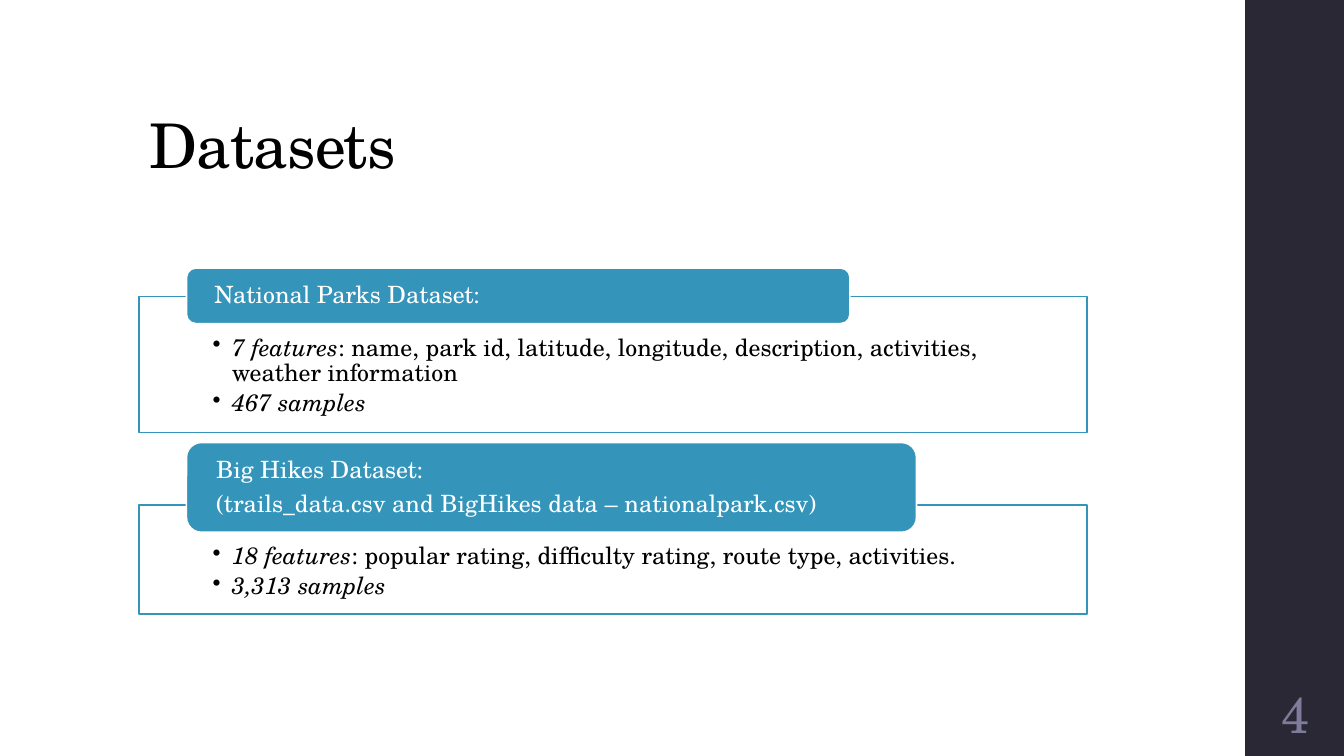
from pptx import Presentation
from pptx.dml.color import RGBColor
from pptx.enum.shapes import MSO_SHAPE as Preset
from pptx.enum.text import MSO_ANCHOR as Anchor, MSO_AUTO_SIZE as AutoSize, PP_ALIGN as Align
from pptx.oxml.ns import qn
from pptx.util import Inches, Pt
from lxml.etree import SubElement

FONT = "TeX Gyre Schola"
BLACK = RGBColor(0x00, 0x00, 0x00)
WHITE = RGBColor(0xFF, 0xFF, 0xFF)
BLUE = RGBColor(0x34, 0x94, 0xBA)
DARK = RGBColor(0x29, 0x28, 0x34)
LAVENDER = RGBColor(0x7F, 0x7B, 0x9A)

BOX_LEFT, BOX_WIDTH = 1.38, 9.4
HEADER_LEFT = 1.85
HEADER_OVERLAP = 0.27
BAR_LEFT, BAR_WIDTH = 12.35, 0.98

# Header lines, header width and height, box top and height, bullets (italic part, rest)
DATASETS = [
    (["National Parks Dataset:"], 6.58, 0.55, 2.94, 1.35,
     [("7 features", ": name, park id, latitude, longitude, description, "
       "activities, weather information"),
      ("467 samples", "")]),
    (["Big Hikes Dataset:", "(trails_data.csv and BigHikes data – nationalpark.csv)"],
     7.24, 0.89, 5.01, 1.08,
     [("18 features", ": popular rating, difficulty rating, route type, activities."),
      ("3,313 samples", "")]),
]


class SlideBuilder:
    """Holds the text style and the current slide."""

    def __init__(self, slide, font=FONT, body_size=17):
        """Keep the slide and the shared text settings."""
        self.slide = slide
        self.font = font
        self.body_size = body_size

    def style_run(self, run, color, size=None, italic=False):
        """Format one run in the slide's font."""
        run.font.name = self.font
        run.font.size = Pt(size or self.body_size)
        run.font.color.rgb = color
        run.font.italic = italic

    def set_frame(self, shape, anchor, insets):
        """Set wrapping, anchor and left, top, right, bottom insets."""
        frame = shape.text_frame
        frame.word_wrap = True
        frame.auto_size = AutoSize.NONE
        frame.vertical_anchor = anchor
        (frame.margin_left, frame.margin_top,
         frame.margin_right, frame.margin_bottom) = map(Inches, insets)
        return frame

    def title(self, text):
        """Place and format the title placeholder."""
        shape = self.slide.shapes.title
        shape.left, shape.top = Inches(1.38), Inches(0.4)
        shape.width, shape.height = Inches(10.6), Inches(1.45)
        frame = self.set_frame(shape, Anchor.BOTTOM, (0.1, 0.05, 0.1, 0.05))
        frame.text = text
        paragraph = frame.paragraphs[0]
        paragraph.alignment = Align.LEFT
        paragraph.line_spacing = 0.9
        run = paragraph.runs[0]
        self.style_run(run, BLACK, 44)
        run.font._element.set("spc", "-50")

    def shape(self, preset, left, top, width, height, fill, line=None):
        """Add a filled preset shape, outlined when a line colour is given."""
        shape = self.slide.shapes.add_shape(
            preset, Inches(left), Inches(top), Inches(width), Inches(height))
        shape.shadow.inherit = False
        shape.fill.solid()
        shape.fill.fore_color.rgb = fill
        if line is None:
            shape.line.fill.background()
        else:
            shape.line.color.rgb = line
            shape.line.width = Pt(1.1)
        return shape

    def paragraphs(self, frame, texts, space_after):
        """Fill a frame with left-aligned paragraphs and return them."""
        frame.text = "\n".join(texts)
        for paragraph in frame.paragraphs:
            paragraph.alignment = Align.LEFT
            paragraph.line_spacing = 0.9
            paragraph.space_after = Pt(space_after)
        return frame.paragraphs

    def bullet_box(self, top, height, bullets):
        """Add an outlined box of bullets that open in italics."""
        box = self.shape(Preset.RECTANGLE, BOX_LEFT, top, BOX_WIDTH, height, WHITE, BLUE)
        frame = self.set_frame(box, Anchor.TOP, (0.73, 0.39, 0.73, 0.13))
        leads = [lead for lead, rest in bullets]
        for paragraph, (lead, rest) in zip(self.paragraphs(frame, leads, 3), bullets):
            self.style_run(paragraph.runs[0], BLACK, italic=True)
            if rest:
                run = paragraph.add_run()
                run.text = rest
                self.style_run(run, BLACK)
            properties = paragraph._p.get_or_add_pPr()
            properties.set("marL", str(Inches(0.19)))
            properties.set("indent", str(-Inches(0.19)))
            SubElement(properties, qn("a:buChar")).set("char", "•")

    def header(self, lines, top, width, height):
        """Add the rounded header that overlaps a box's top edge."""
        shape = self.shape(Preset.ROUNDED_RECTANGLE, HEADER_LEFT, top, width, height,
                           BLUE, WHITE)
        frame = self.set_frame(shape, Anchor.MIDDLE, (0.25, 0, 0.25, 0))
        for paragraph in self.paragraphs(frame, lines, 6):
            self.style_run(paragraph.runs[0], WHITE)

    def page_number(self, number):
        """Add the page number at the foot of the side bar."""
        box = self.slide.shapes.add_textbox(
            Inches(BAR_LEFT), Inches(6.75), Inches(1), Inches(0.65))
        frame = self.set_frame(box, Anchor.MIDDLE, (0.05,) * 4)
        frame.text = number
        paragraph = frame.paragraphs[0]
        paragraph.alignment = Align.CENTER
        self.style_run(paragraph.runs[0], LAVENDER, 36)


def main():
    """Build the datasets slide and save it."""
    presentation = Presentation()
    presentation.slide_width = Inches(13.33)
    presentation.slide_height = Inches(7.5)
    title_only = presentation.slide_layouts[5]
    builder = SlideBuilder(presentation.slides.add_slide(title_only))

    builder.shape(Preset.RECTANGLE, BAR_LEFT, 0, BAR_WIDTH, 7.5, DARK)
    builder.title("Datasets")
    for lines, header_width, header_height, box_top, box_height, bullets in DATASETS:
        builder.bullet_box(box_top, box_height, bullets)
        header_top = box_top + HEADER_OVERLAP - header_height
        builder.header(lines, header_top, header_width, header_height)
    builder.page_number("4")

    presentation.save("out.pptx")


main()
